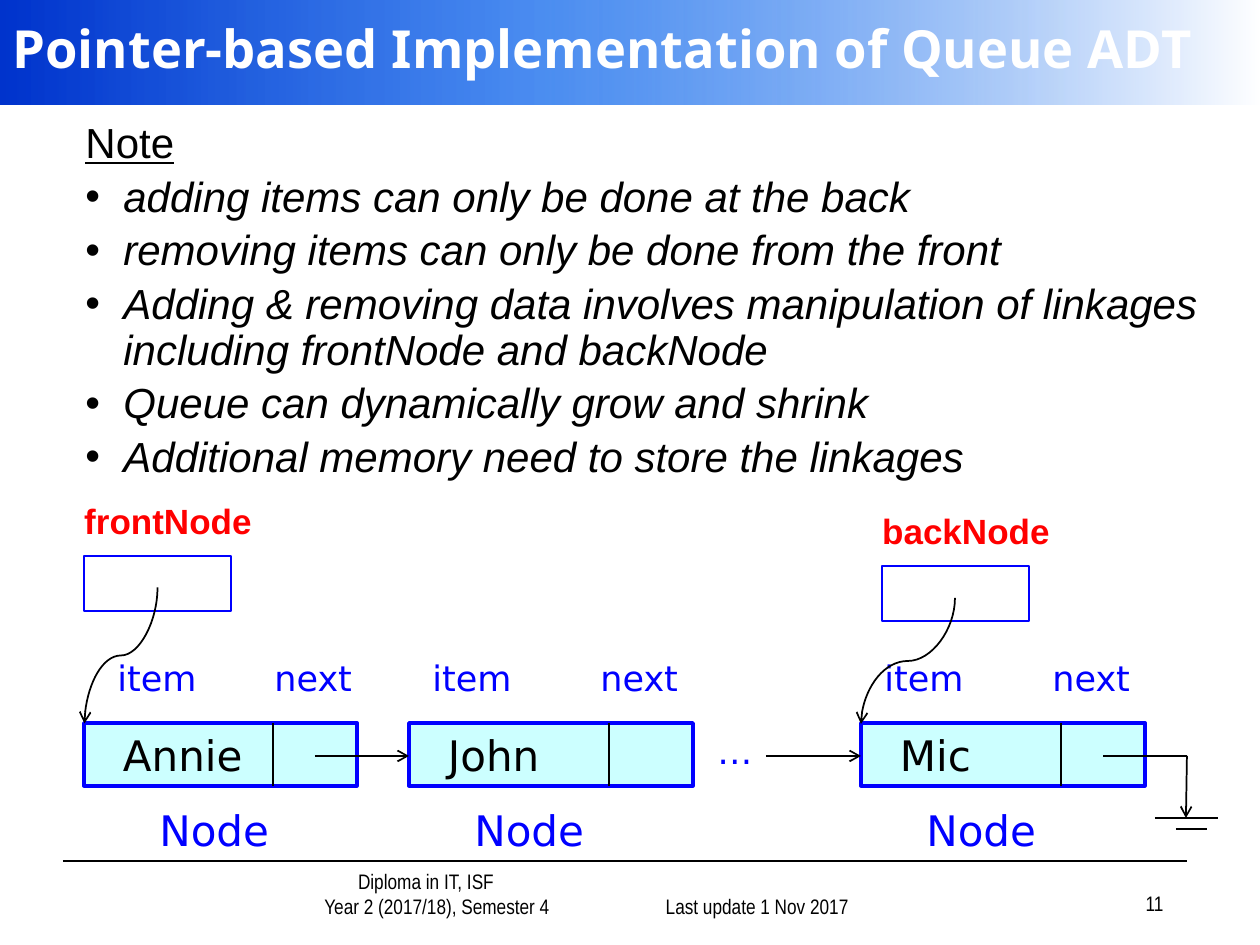
from lxml import etree
from pptx import Presentation
from pptx.dml.color import RGBColor
from pptx.enum.shapes import MSO_CONNECTOR as CONNECTOR, MSO_SHAPE as SHAPE
from pptx.enum.text import MSO_ANCHOR as ANCHOR, PP_ALIGN as ALIGN
from pptx.oxml import parse_xml
from pptx.oxml.ns import nsdecls, qn
from pptx.util import Emu, Pt

PIXEL = 914400 // 126
COLORS = {
    "black": "000000", "white": "FFFFFF", "blue": "0000FF", "red": "FF0000",
    "cell": "CCFFFF", "banner_start": "0033CC", "banner_middle": "005EEB",
}
FOOTER = {"size": Pt(12), "name": "Arial Narrow"}
TITLE = {"size": Pt(30), "name": "Noto Sans", "bold": True}
NOTE = {"size": Pt(24), "name": "Arial", "underline": True}
BULLET = {"size": Pt(24), "name": "Arial", "italic": True}
POINTER = {"size": Pt(20), "name": "Arial", "bold": True}
FIELD = {"size": Pt(20), "name": "DejaVu Sans"}
NODE = {"size": Pt(24), "name": "DejaVu Sans"}

BULLETS = [
    "adding items can only be done at the back",
    "removing items can only be done from the front",
    "Adding & removing data involves manipulation of linkages "
    "including frontNode and backNode",
    "Queue can dynamically grow and shrink",
    "Additional memory need to store the linkages",
]
NODE_TOP, NODE_HEIGHT, LINK_Y = 723, 63, 756
# name, left, width, divider x, item x, next x, caption x
NODES = [
    ("Annie", 84, 273, 273, 105, 262, 147),
    ("John", 409, 284, 609, 420, 588, 462),
    ("Mic", 861, 284, 1061, 872, 1040, 914),
]
# name, label left, box left, box top, (curve left, top, width, height)
POINTERS = [
    ("frontNode", 63, 84, 556, (53, 619, 136, 73)),
    ("backNode", 861, 882, 566, (845, 614, 126, 94)),
]


def px(*lengths):
    """Turn pixels into a list of EMU lengths."""
    return [Emu(length * PIXEL) for length in lengths]


def rgb(color):
    """Look up a named colour."""
    return RGBColor.from_string(COLORS[color])


def write(paragraph, text, style, color, align=ALIGN.LEFT, margin=0, indent=0):
    """Write one formatted run into a paragraph."""
    run = paragraph.add_run()
    run.text = text
    for name, value in style.items():
        setattr(run.font, name, value)
    run.font.color.rgb = rgb(color)
    paragraph.alignment = align
    properties = paragraph._p.get_or_add_pPr()
    properties.set("marL", str(margin * PIXEL))
    properties.set("indent", str(indent * PIXEL))
    return properties


def add_text(slide, box, text, style, color="black", align=ALIGN.LEFT, anchor=ANCHOR.TOP):
    """Add a wrapping text box and return its text frame."""
    frame = slide.shapes.add_textbox(*px(*box)).text_frame
    frame.word_wrap = True
    frame.vertical_anchor = anchor
    if text:
        write(frame.paragraphs[0], text, style, color, align)
    return frame


def add_box(slide, box, width, fill=None):
    """Add a blue outlined rectangle, filled or open."""
    shape = slide.shapes.add_shape(SHAPE.RECTANGLE, *px(*box))
    shape.shadow.inherit = False
    if fill:
        shape.fill.solid()
        shape.fill.fore_color.rgb = rgb(fill)
    else:
        shape.fill.background()
    shape.line.color.rgb = rgb("blue")
    shape.line.width = Pt(width)
    return shape


def add_line(slide, ends, arrow=False, kind=CONNECTOR.STRAIGHT):
    """Add a thin black connector, with an optional open arrowhead."""
    connector = slide.shapes.add_connector(kind, *px(*ends))
    connector.line.color.rgb = rgb("black")
    connector.line.width = Pt(1)
    if arrow:
        etree.SubElement(connector.line._get_or_add_ln(), qn("a:tailEnd"), type="arrow")
    etree.SubElement(connector._element.spPr, qn("a:effectLst"))
    return connector


def add_banner(slide):
    """Add the gradient banner with the title."""
    banner = slide.shapes.add_shape(SHAPE.RECTANGLE, *px(0, 0, 1260, 105))
    banner.shadow.inherit = False
    banner.line.fill.background()
    stops = [(0, "banner_start", 100), (43, "banner_middle", 70), (100, "white", 100)]
    stop_xml = "".join(
        f'<a:gs pos="{position * 1000}"><a:srgbClr val="{COLORS[color]}">'
        f'<a:alpha val="{alpha * 1000}"/></a:srgbClr></a:gs>'
        for position, color, alpha in stops)
    gradient = parse_xml(
        f'<a:gradFill {nsdecls("a")} rotWithShape="1"><a:gsLst>{stop_xml}</a:gsLst>'
        '<a:lin ang="0" scaled="1"/></a:gradFill>')
    banner._element.spPr.find(qn("a:prstGeom")).addnext(gradient)
    add_text(slide, (0, 0, 1313, 95), "Pointer-based Implementation of Queue ADT",
             TITLE, "white", anchor=ANCHOR.MIDDLE)


def add_footer(slide):
    """Add the rule and the three footer texts."""
    add_line(slide, (63, 861, 1187, 861))
    course = add_text(slide, (212, 872, 365, 53), "", FOOTER, anchor=ANCHOR.BOTTOM)
    write(course.paragraphs[0], "Diploma in IT, ISF", FOOTER, "black", ALIGN.CENTER, 63)
    write(course.add_paragraph(), "Year 2 (2017/18), Semester 4", FOOTER, "black",
          ALIGN.CENTER, 85)
    for left, top, text in [(599, 872, "Last update 1 Nov 2017"), (914, 869, "11")]:
        add_text(slide, (left, top, 262, 53), text, FOOTER, align=ALIGN.RIGHT,
                 anchor=ANCHOR.BOTTOM)


def add_notes_list(slide):
    """Add the underlined heading and its bullets."""
    frame = add_text(slide, (73, 116, 1144, 399), "", NOTE)
    heading = frame.paragraphs[0]
    write(heading, "Note", NOTE, "black", margin=48, indent=-48)
    heading.line_spacing = 0.9
    for text in BULLETS:
        paragraph = frame.add_paragraph()
        properties = write(paragraph, text, BULLET, "black", margin=38, indent=-38)
        paragraph.line_spacing = 0.9
        paragraph.space_before = Pt(4.8)
        etree.SubElement(properties, qn("a:buFont"), typeface="Arial")
        etree.SubElement(properties, qn("a:buChar"), char="•")


def add_node(slide, name, left, width, divider, item_left, next_left, caption_left):
    """Add one list node with its field labels and caption."""
    node = add_box(slide, (left, NODE_TOP, width, NODE_HEIGHT), 2, "cell")
    frame = node.text_frame
    frame.margin_left = px(39)[0]
    frame.vertical_anchor = ANCHOR.MIDDLE
    write(frame.paragraphs[0], name, NODE, "black")
    add_line(slide, (divider, NODE_TOP, divider, NODE_TOP + NODE_HEIGHT))
    for label, label_left in (("item", item_left), ("next", next_left)):
        add_text(slide, (label_left, 650, 168, 55), label, FIELD, "blue")
    add_text(slide, (caption_left, 798, 189, 63), "Node", NODE, "blue")


def add_pointer(slide, name, label_left, left, top, curve):
    """Add a named pointer box with a curved arrow to its node."""
    add_box(slide, (left, top, 147, 55), 1.5)
    add_text(slide, (label_left, top - 63, 210, 55), name, POINTER, "red", ALIGN.CENTER)
    x, y, width, height = curve
    arrow = add_line(slide, (x, y, x + width, y + height), True, CONNECTOR.CURVE)
    arrow._element.spPr.find(qn("a:xfrm")).set("rot", str(90 * 60000))


def add_links(slide):
    """Add the links between nodes and the null terminator."""
    for start, end in [(315, 409), (766, 861)]:
        add_line(slide, (start, LINK_Y, end, LINK_Y), True)
    add_text(slide, (651, 723, 168, 55), "…", FIELD, "blue", ALIGN.CENTER)
    add_line(slide, (1187, LINK_Y, 1103, LINK_Y))
    add_line(slide, (1187, LINK_Y, 1186, 818), True)
    add_line(slide, (1155, 818, 1218, 818))
    add_line(slide, (1176, 829, 1207, 829))


def main():
    """Build the slide and save it."""
    presentation = Presentation()
    presentation.slide_width, presentation.slide_height = px(1260, 945)
    slide = presentation.slides.add_slide(presentation.slide_layouts[6])
    add_banner(slide)
    add_footer(slide)
    add_notes_list(slide)
    for node in NODES:
        add_node(slide, *node)
    for pointer in POINTERS:
        add_pointer(slide, *pointer)
    add_links(slide)
    presentation.save("out.pptx")


main()
